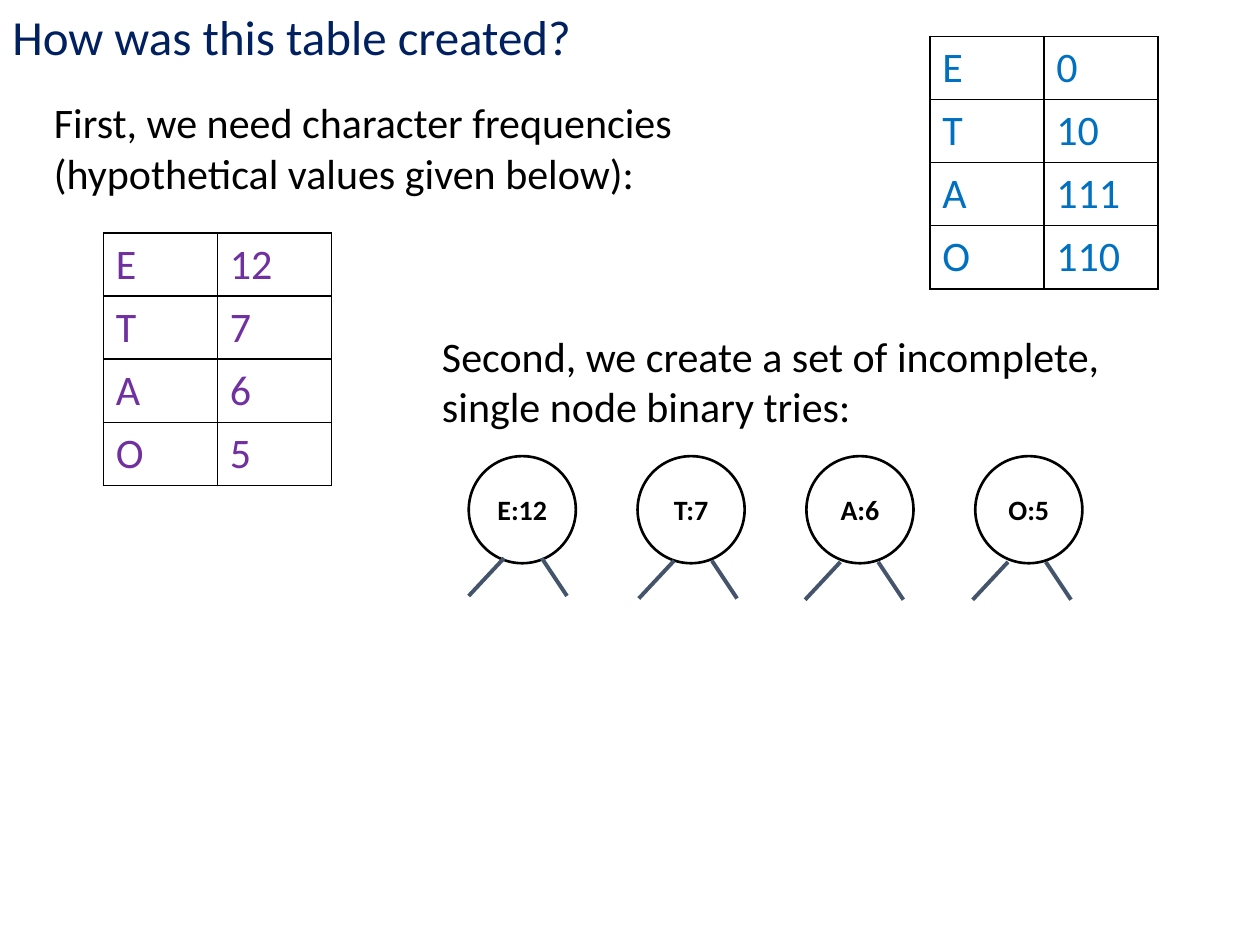
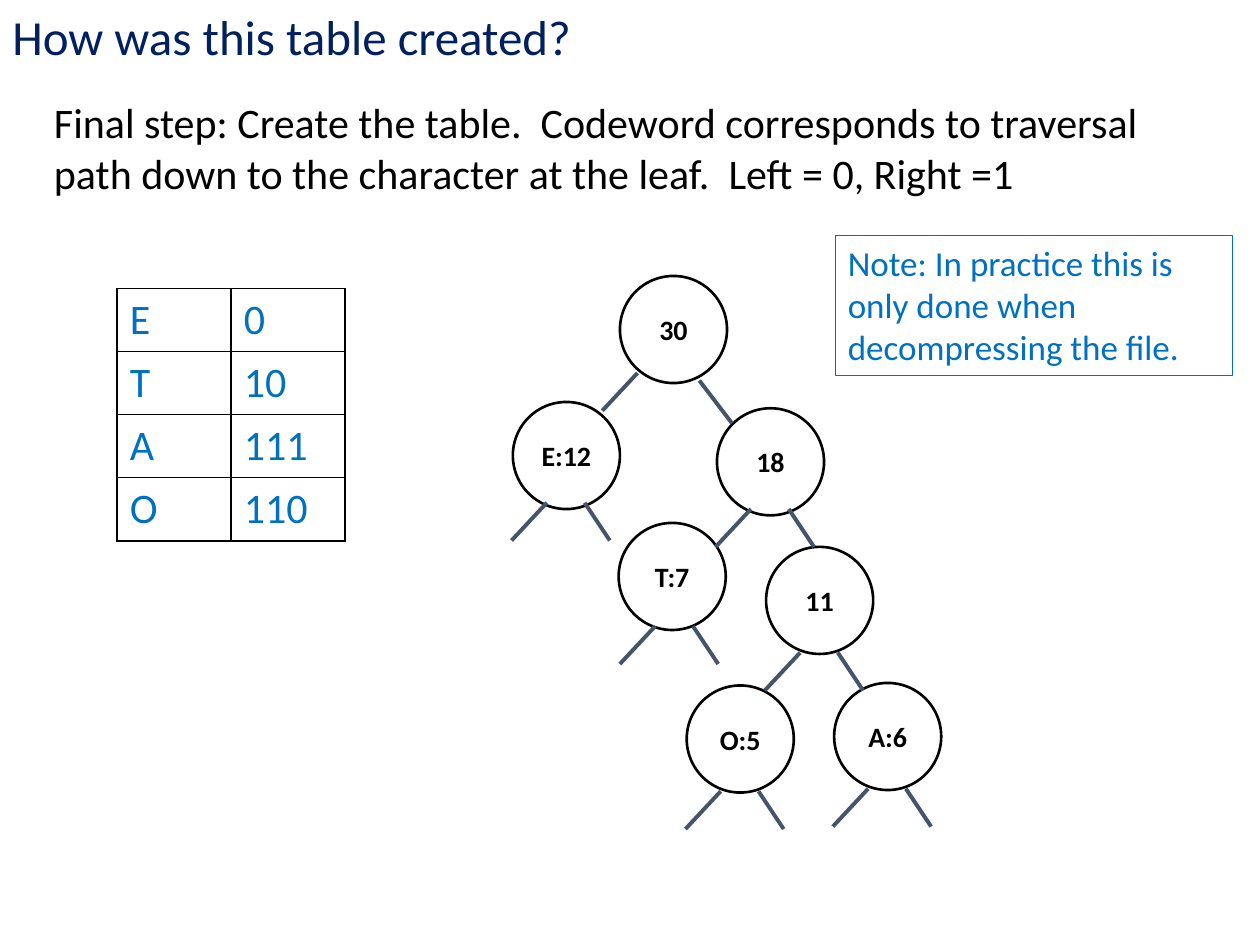
from lxml import etree
from pptx import Presentation
from pptx.dml.color import RGBColor
from pptx.enum import shapes, text
from pptx.oxml import ns
from pptx.util import Inches, Pt

NAVY = RGBColor(0x00, 0x20, 0x60)
BLUE = RGBColor(0x00, 0x70, 0xC0)
PURPLE = RGBColor(0x70, 0x30, 0xA0)
SLATE = RGBColor(0x44, 0x54, 0x6A)
BLACK = RGBColor(0, 0, 0)
WHITE = RGBColor(255, 255, 255)

FONT = "Calibri"
TITLE = "How was this table created?"
CODES = [("E", "0"), ("T", "10"), ("A", "111"), ("O", "110")]
FREQUENCIES = [("E", "12"), ("T", "7"), ("A", "6"), ("O", "5")]
NODE_SIZE = 0.85
ROW_HEIGHT = 0.5
COLUMN_WIDTH = 0.905


class Deck:
    """Holds the shared style and the slide being filled."""

    def __init__(self):
        self.presentation = Presentation()
        self.presentation.slide_width = Inches(10)
        self.presentation.slide_height = Inches(7.5)
        self.slide = None

    def new_slide(self):
        layout = self.presentation.slide_layouts[6]
        self.slide = self.presentation.slides.add_slide(layout)
        self.text(TITLE, 0, 0, 8.9, 0.57, size=28, color=NAVY)

    def set_words(self, frame, words, size, color, bold=False):
        paragraph = frame.paragraphs[0]
        paragraph.text = words
        font = paragraph.font
        font.name, font.size, font.bold = FONT, Pt(size), bold
        font.color.rgb = color
        return paragraph

    def text(self, words, left, top, width, height, size=24, color=BLACK):
        box = self.slide.shapes.add_textbox(
            Inches(left), Inches(top), Inches(width), Inches(height))
        box.text_frame.word_wrap = True
        self.set_words(box.text_frame, words, size, color)
        return box

    def note(self, words, left, top, width, height):
        box = self.text(words, left, top, width, height, 20, BLUE)
        box.line.color.rgb = BLUE
        box.line.width = Pt(0.5)

    def table(self, rows, left, top, color):
        columns = len(rows[0])
        table = self.slide.shapes.add_table(
            len(rows), columns, Inches(left), Inches(top),
            Inches(COLUMN_WIDTH * columns), Inches(ROW_HEIGHT * len(rows))).table
        table.first_row = table.horz_banding = False
        for r, row in enumerate(rows):
            for c, words in enumerate(row):
                cell = table.cell(r, c)
                self.set_words(cell.text_frame, words, 24, color)
                self.borders(cell)
                cell.fill.background()

    def borders(self, cell):
        properties = cell._tc.get_or_add_tcPr()
        for side in ("lnL", "lnR", "lnT", "lnB"):
            line = etree.SubElement(properties, ns.qn("a:" + side), w=str(Pt(1)))
            fill = etree.SubElement(line, ns.qn("a:solidFill"))
            etree.SubElement(fill, ns.qn("a:srgbClr"), val=str(BLACK))

    def circle(self, label, left, top):
        circle = self.slide.shapes.add_shape(
            shapes.MSO_SHAPE.OVAL, Inches(left), Inches(top),
            Inches(NODE_SIZE), Inches(NODE_SIZE))
        circle.shadow.inherit = False
        circle.fill.solid()
        circle.fill.fore_color.rgb = WHITE
        circle.line.color.rgb = BLACK
        circle.line.width = Pt(1.5)
        frame = circle.text_frame
        frame.vertical_anchor = text.MSO_ANCHOR.MIDDLE
        paragraph = self.set_words(frame, label, 16, BLACK, bold=True)
        paragraph.alignment = text.PP_ALIGN.CENTER

    def branch(self, x, y, across, down):
        line = self.slide.shapes.add_connector(
            shapes.MSO_CONNECTOR.STRAIGHT, Inches(x), Inches(y),
            Inches(x + across), Inches(y + down))
        line.line.color.rgb = SLATE
        line.line.width = Pt(2.25)
        etree.SubElement(line._element.spPr, ns.qn("a:effectLst"))

    def node(self, label, left, top, inset=0.27, drop=0.84):
        """A circle whose two branches start inset and drop from its corner."""
        self.circle(label, left, top)
        self.branch(left + inset, top + drop, -0.28, 0.3)
        self.branch(left + inset + 0.3, top + drop, 0.2, 0.3)


deck = Deck()

# Slide 1: frequencies and single-node tries
deck.new_slide()
deck.table(CODES, 7.38, 0.29, BLUE)
deck.text("First, we need character frequencies (hypothetical values given below):",
          0.33, 0.72, 5.9, 0.91)
deck.table(FREQUENCIES, 0.82, 1.85, PURPLE)
deck.text("Second, we create a set of incomplete, single node binary tries:",
          3.41, 2.57, 5.9, 0.91)
branch_starts = [(0.28, 0.81), (0.29, 0.83), (0.27, 0.84), (0.26, 0.84)]
for i, ((letter, count), start) in enumerate(zip(FREQUENCIES, branch_starts)):
    deck.node(f"{letter}:{count}", 3.72 + 1.34 * i, 3.62, *start)

# Slide 2: the finished trie and its code table
deck.new_slide()
deck.text("Final step: Create the table.  Codeword corresponds to traversal path "
          "down to the character at the leaf.  Left = 0, Right =1",
          0.33, 0.72, 8.98, 0.91)
deck.node("E:12", 4.07, 3.19, drop=0.8)
deck.node("T:7", 4.91, 4.15, inset=0.29, drop=0.82)
deck.node("O:5", 5.45, 5.44)
deck.node("A:6", 6.62, 5.42)
deck.node("11", 6.08, 4.34)
deck.node("18", 5.69, 3.24, drop=0.8)

# The root has wider-set branches
deck.circle("30", 4.92, 2.19)
deck.branch(5.06, 2.96, -0.28, 0.3)
deck.branch(5.55, 3.02, 0.26, 0.34)

deck.table(CODES, 0.93, 2.29, BLUE)
deck.note("Note: In practice this is only done when decompressing the file.",
          6.63, 1.87, 3.15, 1.11)

deck.presentation.save("out.pptx")
